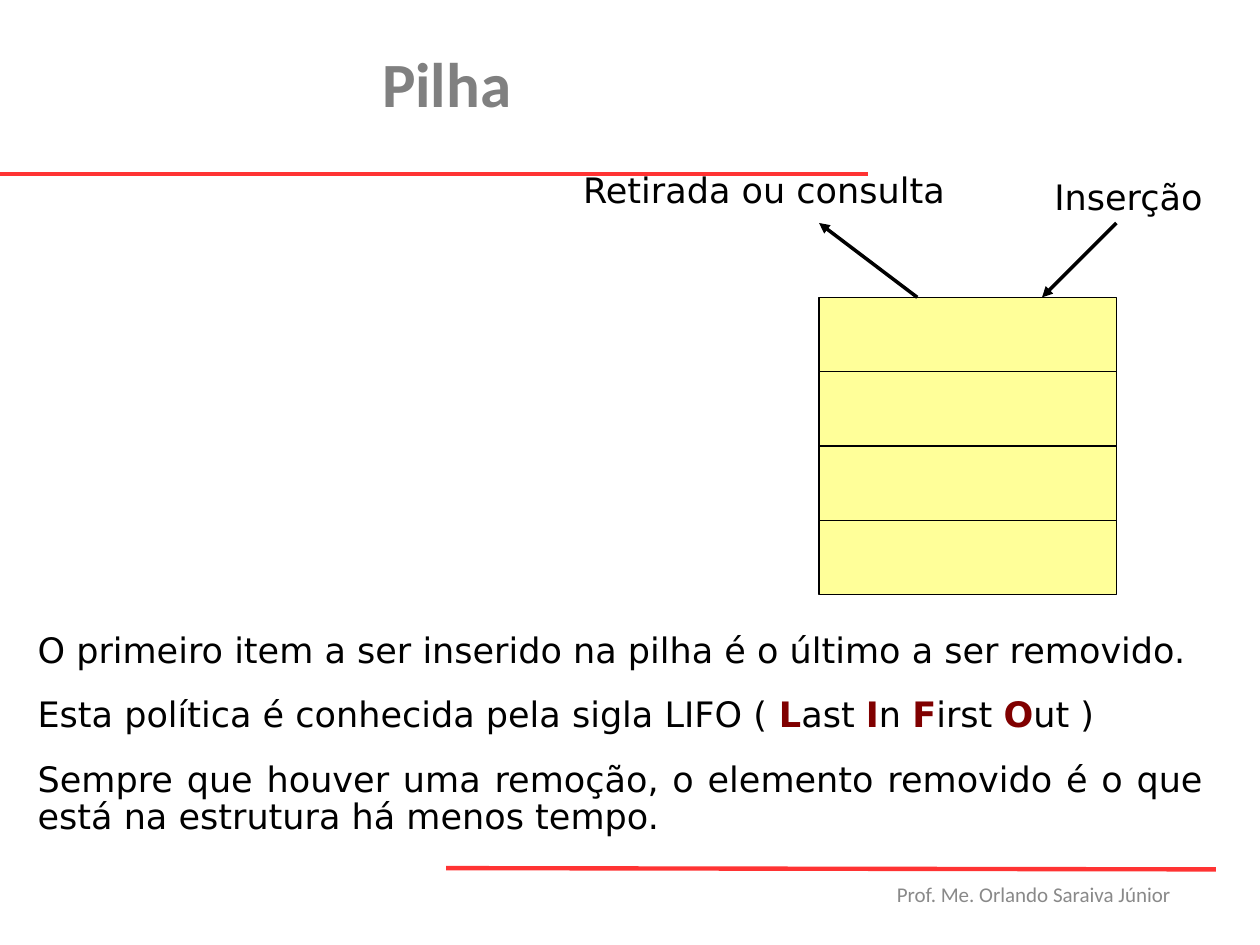
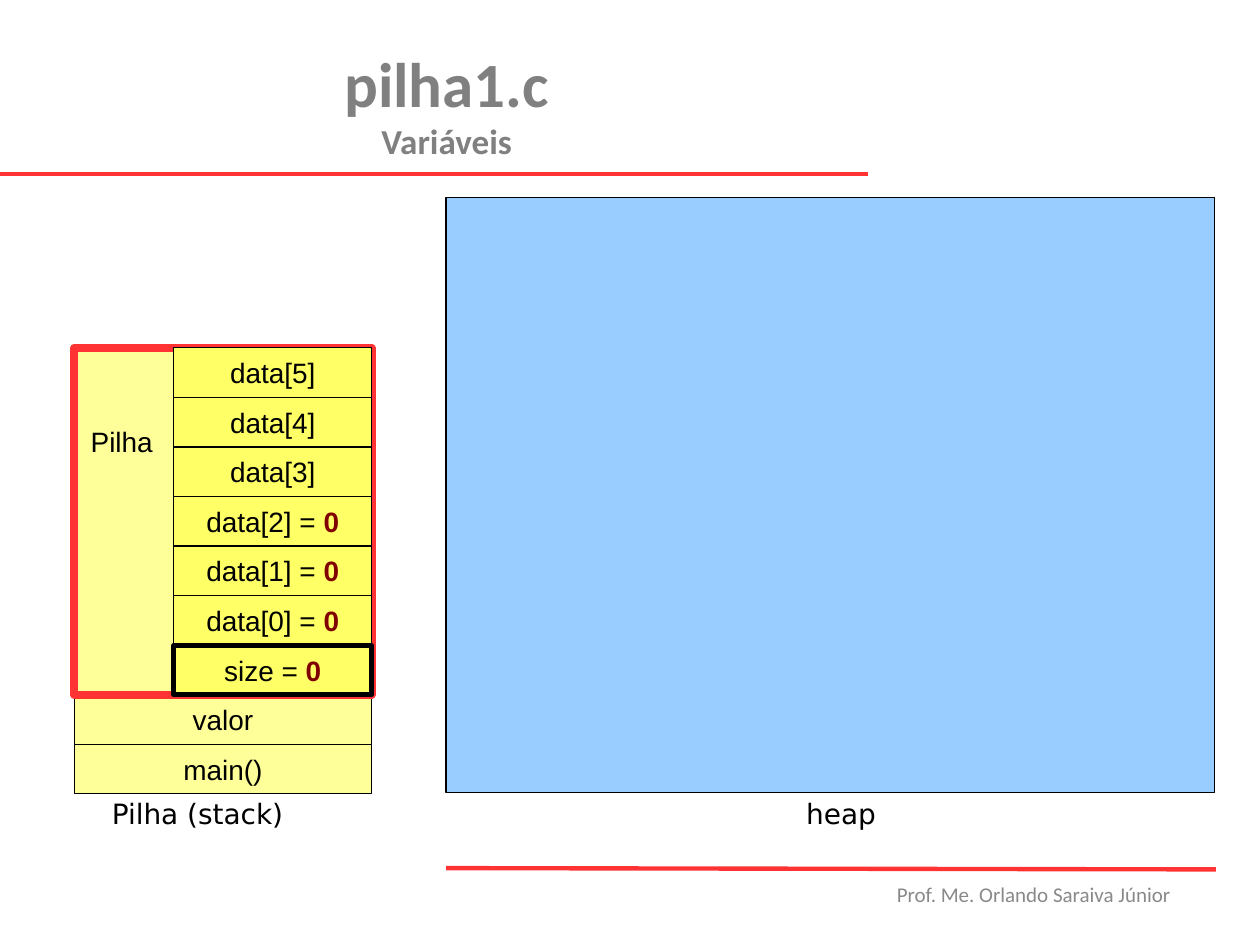
from typing import NamedTuple

import lxml.etree
import pptx
import pptx.dml.color
import pptx.enum.shapes
import pptx.enum.text
import pptx.oxml.ns
import pptx.util
from pptx.util import Inches

RED, BLACK, WINE = "FF3333", "000000", "800000"
CREAM, YELLOW, BLUE = "FFFF99", "FFFF66", "99CCFF"
GREY, PALE = "808080", "898989"
SANS, ARIAL, HEAD = "DejaVu Sans", "Arial", "Calibri"

ALIGN = pptx.enum.text.PP_ALIGN
ANCHOR = pptx.enum.text.MSO_ANCHOR
RECT = pptx.enum.shapes.MSO_SHAPE.RECTANGLE
LINE = pptx.enum.shapes.MSO_CONNECTOR.STRAIGHT


class Box(NamedTuple):
    left: float
    top: float
    width: float
    height: float


class Cell(NamedTuple):
    box: Box
    words: str = ""
    fill: str = CREAM
    edge: str = BLACK
    weight: float = 0


def paint(code: str) -> pptx.dml.color.RGBColor:
    return pptx.dml.color.RGBColor.from_string(code)


def inch(box: Box) -> list:
    return [Inches(side) for side in box]


def write(frame, lines: list[str], *, size=20, rest=None, font=SANS, color=BLACK,
          bold=False, align=ALIGN.JUSTIFY, gap=0, lead=None) -> None:
    """Fill a frame; parts between asterisks stand out, rest sizes later lines."""
    frame.word_wrap = True
    for row, line in enumerate(lines):
        para = frame.add_paragraph() if row else frame.paragraphs[0]
        para.alignment = align
        if lead:
            para.line_spacing = lead
        if row and gap:
            para.space_before = pptx.util.Pt(gap)
        for part, words in enumerate(line.split("*")):
            if not words:
                continue
            mark = part % 2 == 1
            run = para.add_run()
            run.text = words
            run.font.name = font
            run.font.size = pptx.util.Pt(rest if row and rest else size)
            run.font.bold = bold or mark
            run.font.color.rgb = paint(WINE if mark else color)


def label(slide, box: Box, *lines: str, **style) -> None:
    frame = slide.shapes.add_textbox(*inch(box)).text_frame
    write(frame, list(lines), **style)


def block(slide, cell: Cell):
    shape = slide.shapes.add_shape(RECT, *inch(cell.box))
    shape.shadow.inherit = False
    shape.fill.solid()
    shape.fill.fore_color.rgb = paint(cell.fill)
    shape.line.color.rgb = paint(cell.edge)
    shape.line.width = pptx.util.Pt(cell.weight)
    frame = shape.text_frame
    frame.vertical_anchor = ANCHOR.MIDDLE
    if cell.words:
        write(frame, [cell.words], size=16, font=ARIAL, align=ALIGN.CENTER)
    return shape


def rule(slide, start: tuple, end: tuple, color=BLACK, weight=0.0, arrow=False) -> None:
    line = slide.shapes.add_connector(LINE, *[Inches(spot) for spot in start + end])
    line.line.color.rgb = paint(color)
    line.line.width = pptx.util.Pt(weight)
    name = pptx.oxml.ns.qn
    if arrow:
        lxml.etree.SubElement(line.line._get_or_add_ln(), name("a:tailEnd"), type="triangle")
    lxml.etree.SubElement(line._element.spPr, name("a:effectLst"))


def start(deck, *title: str):
    """Add a slide with the shared rules, footer and title."""
    slide = deck.slides.add_slide(deck.slide_layouts[6])
    rule(slide, (-0.04, 1.38), (6.89, 1.38), RED, 2.5)
    rule(slide, (3.54, 6.89), (9.65, 6.9), RED, 2.5)
    label(slide, Box(7.02, 6.95, 2.6, 0.5), "Prof. Me. Orlando Saraiva Júnior",
          size=12, font=HEAD, color=PALE, align=ALIGN.LEFT)
    label(slide, Box(0, 0.3, 7.09, 1.25), *title, size=36, rest=20, font=HEAD,
          color=GREY, bold=True, align=ALIGN.CENTER)
    return slide


def stack(deck) -> None:
    slide = start(deck, "Pilha")
    label(slide, Box(4.53, 1.33, 3.54, 0.64), "Retirada ou consulta", lead=0.9)
    label(slide, Box(8.27, 1.38, 1.57, 0.64), "Inserção", lead=0.9)

    # Four equal places in the stack
    left, top, width, step = 6.5, 2.36, 2.36, 0.59
    for row in range(4):
        block(slide, Cell(Box(left, top + row * step, width, step)))

    # Arrows out of and into the top
    rule(slide, (7.28, top), (left, 1.77), arrow=True)
    rule(slide, (left + width, 1.77), (8.27, top), arrow=True)

    label(slide, Box(0.2, 4.98, 9.45, 1.88),
          "O primeiro item a ser inserido na pilha é o último a ser removido.",
          "Esta política é conhecida pela sigla LIFO ( *L*ast *I*n *F*irst *O*ut )",
          "Sempre que houver uma remoção, o elemento removido é o que está na "
          "estrutura há menos tempo.",
          gap=15, lead=0.9)


def data(deck) -> None:
    slide = start(deck, "pilha1.c", "Variáveis")

    # Heap area and captions
    block(slide, Cell(Box(3.54, 1.57, 6.1, 4.72), fill=BLUE))
    label(slide, Box(6.3, 6.3, 3.15, 0.59), "heap", size=16, lead=0.9)
    label(slide, Box(0.79, 6.3, 2.36, 0.59), "Pilha (stack)", size=16, lead=0.9)

    # Nine equal rows: seven fields, then two frames of the call stack
    left, top, width, base = 0.59, 2.76, 2.36, 6.3
    fields = ["data[5]", "data[4]", "data[3]", "data[2] = *0*",
              "data[1] = *0*", "data[0] = *0*", "size = *0*"]
    calls = ["valor", "main()"]
    step = (base - top) / (len(fields) + len(calls))
    for row, words in enumerate(calls, len(fields)):
        block(slide, Cell(Box(left, top + row * step, width, step), words))

    # Outer struct, named at its left
    outer = block(slide, Cell(Box(left, top, width, len(fields) * step),
                              edge=RED, weight=4.5))
    frame = outer.text_frame
    frame.vertical_anchor = ANCHOR.TOP
    frame.margin_left, frame.margin_top = Inches(0.13), Inches(0.61)
    write(frame, ["Pilha"], size=16, font=ARIAL, align=ALIGN.LEFT)

    # Fields of the struct, the size one in a thick edge
    for row, words in enumerate(fields):
        weight = 2.83 if words.startswith("size") else 0
        block(slide, Cell(Box(1.38, top + row * step, 1.57, step), words,
                          YELLOW, weight=weight))


def main() -> None:
    deck = pptx.Presentation()
    deck.slide_width, deck.slide_height = Inches(10), Inches(7.5)
    stack(deck)
    data(deck)
    deck.save("out.pptx")


if __name__ == "__main__":
    main()
